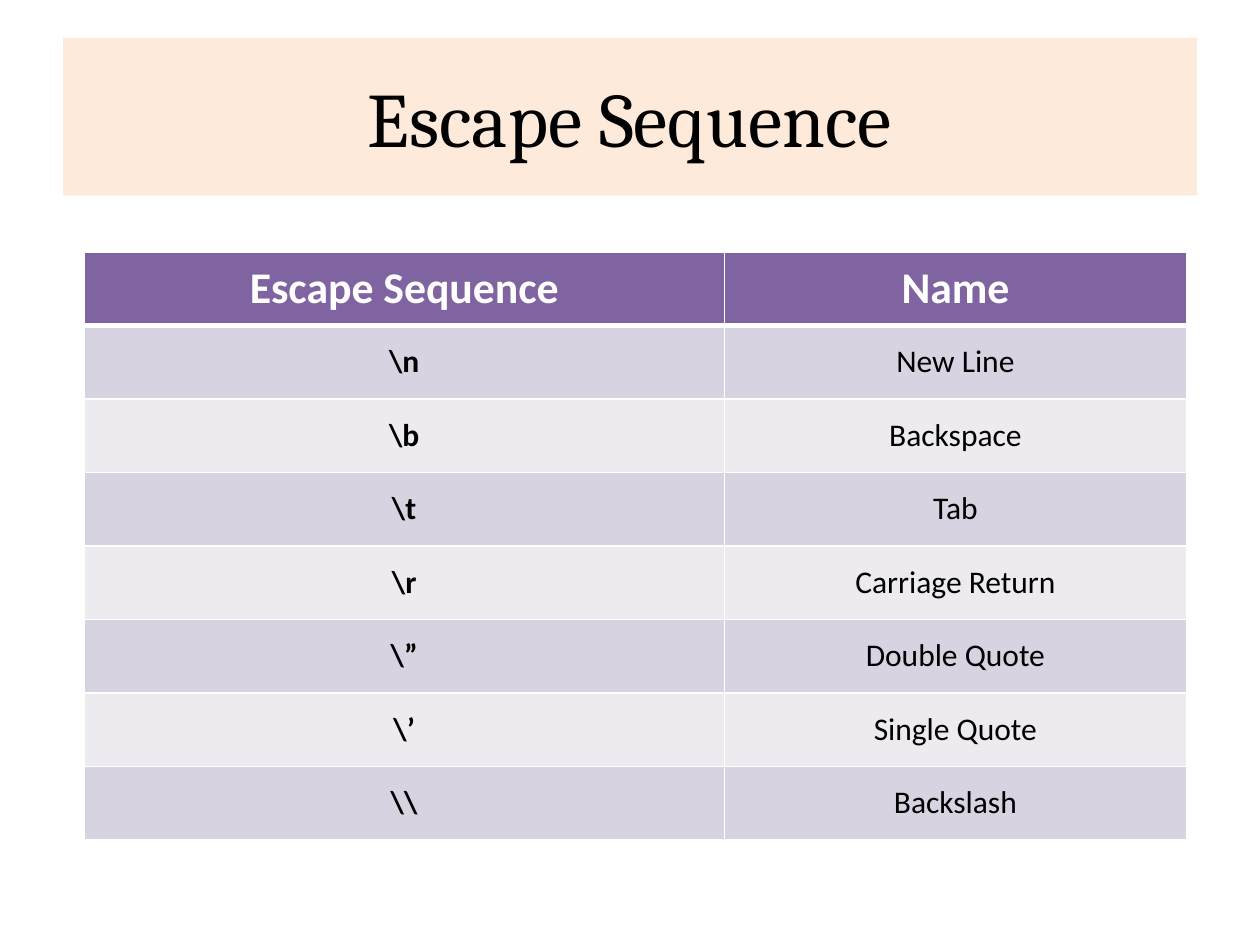
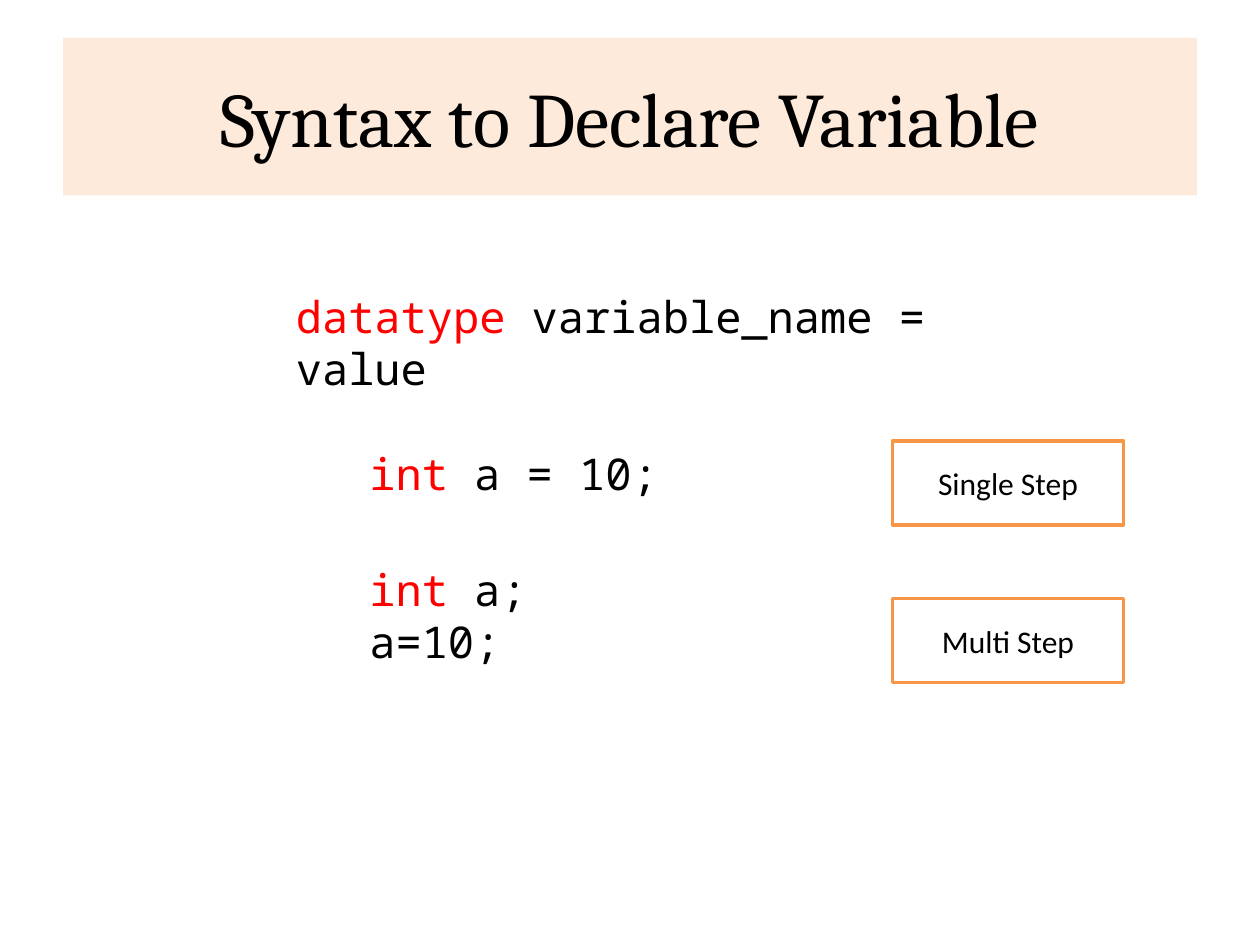
import pptx
import pptx.util
import pptx.dml.color
import pptx.enum.shapes
import pptx.enum.text
import pptx.oxml
import pptx.oxml.ns
from dataclasses import dataclass

Pt = pptx.util.Pt
CENTER = pptx.enum.text.PP_ALIGN.CENTER
MIDDLE = pptx.enum.text.MSO_ANCHOR.MIDDLE


@dataclass(frozen=True)
class Theme:
    # Colours
    band: str = "FDEADA"
    text: str = "000000"
    white: str = "FFFFFF"
    header: str = "8064A2"
    row_dark: str = "D8D3E0"
    row_light: str = "EDEAF0"
    keyword: str = "FF0000"
    accent: str = "F79646"
    # Fonts
    title_font: str = "Cambria"
    body_font: str = "Calibri"
    code_font: str = "Noto Sans Mono"
    # Type sizes
    title_size: int = 44
    large_size: int = 25
    body_size: int = 18


THEME = Theme()

ESCAPES = [
    (r"\n", "New Line"),
    (r"\b", "Backspace"),
    (r"\t", "Tab"),
    (r"\r", "Carriage Return"),
    (r"\”", "Double Quote"),
    (r"\’", "Single Quote"),
    (r"\\", "Backslash"),
]


def rgb(color):
    return pptx.dml.color.RGBColor.from_string(color)


def set_fill(target, color):
    target.fill.solid()
    target.fill.fore_color.rgb = rgb(color)


def format_run(r, font, size, color, bold=False):
    r.font.name = font
    r.font.size = Pt(size)
    r.font.bold = bold
    r.font.color.rgb = rgb(color)


def set_centred_text(target, text, font, size, color, bold=False):
    """Put one centred line into a shape or a table cell."""
    target.vertical_anchor = MIDDLE
    p = target.text_frame.paragraphs[0]
    p.text = text
    p.alignment = CENTER
    format_run(p.runs[0], font, size, color, bold)


def add_titled_slide(prs, title):
    slide = prs.slides.add_slide(prs.slide_layouts[5])
    sp = slide.shapes.title
    sp.left, sp.top, sp.width, sp.height = Pt(36), Pt(21.6), Pt(648), Pt(90)
    set_fill(sp, THEME.band)
    set_centred_text(sp, title, THEME.title_font, THEME.title_size, THEME.text)
    sp.text_frame.vertical_anchor = MIDDLE
    return slide


def set_borders(cell, top=1, bottom=1):
    """Draw white lines of the given widths around a cell."""
    tc_pr = cell._tc.get_or_add_tcPr()
    sides = [("lnL", 1), ("lnR", 1), ("lnT", top), ("lnB", bottom)]
    for i, (tag, width) in enumerate(sides):
        tc_pr.insert(i, pptx.oxml.parse_xml(
            f'<a:{tag} {pptx.oxml.ns.nsdecls("a")} w="{Pt(width)}"><a:solidFill>'
            f'<a:srgbClr val="{THEME.white}"/></a:solidFill></a:{tag}>'))


def add_banded_table(slide, left, top, col_widths, row_height, header, rows):
    lines = [header, *rows]
    table = slide.shapes.add_table(
        len(lines), len(header), Pt(left), Pt(top),
        Pt(sum(col_widths)), Pt(row_height * len(lines))).table
    for column, width in zip(table.columns, col_widths):
        column.width = Pt(width)
    for i, line in enumerate(lines):
        is_header = i == 0
        band = THEME.row_dark if i % 2 else THEME.row_light
        for j, text in enumerate(line):
            cell = table.cell(i, j)
            set_fill(cell, THEME.header if is_header else band)
            set_borders(cell, top=3 if i == 1 else 1, bottom=3 if is_header else 1)
            set_centred_text(
                cell, text, THEME.body_font,
                THEME.large_size if is_header else THEME.body_size,
                THEME.white if is_header else THEME.text,
                bold=is_header or j == 0)


def add_code(slide, left, top, width, height, lines):
    """Add code lines, each a pair of keyword and remaining text."""
    tf = slide.shapes.add_textbox(Pt(left), Pt(top), Pt(width), Pt(height)).text_frame
    tf.word_wrap = True
    tf.auto_size = pptx.enum.text.MSO_AUTO_SIZE.SHAPE_TO_FIT_TEXT
    for i, (keyword, rest) in enumerate(lines):
        p = tf.add_paragraph() if i else tf.paragraphs[0]
        for text, color in ((keyword, THEME.keyword), (rest, THEME.text)):
            if text:
                r = p.add_run()
                r.text = text
                format_run(r, THEME.code_font, THEME.large_size, color)


def add_label(slide, top, text):
    sp = slide.shapes.add_shape(
        pptx.enum.shapes.MSO_SHAPE.RECTANGLE, Pt(510), Pt(top), Pt(132), Pt(48))
    sp.shadow.inherit = False
    set_fill(sp, THEME.white)
    sp.line.color.rgb = rgb(THEME.accent)
    sp.line.width = Pt(2)
    set_centred_text(sp, text, THEME.body_font, THEME.body_size, THEME.text)
    sp.text_frame.vertical_anchor = MIDDLE


def main():
    prs = pptx.Presentation()
    prs.slide_width, prs.slide_height = Pt(720), Pt(540)

    # Escape sequences
    slide = add_titled_slide(prs, "Escape Sequence")
    add_banded_table(slide, 48, 144, (366, 264), 42, ("Escape Sequence", "Name"), ESCAPES)

    # Variable declaration
    slide = add_titled_slide(prs, "Syntax to Declare Variable")
    add_code(slide, 162, 162, 432, 37.5, [("datatype ", "variable_name = value")])
    add_code(slide, 204, 252, 255, 37.5, [("int", " a = 10;")])
    add_code(slide, 204, 318, 255, 67.5, [("int", " a;"), ("", "a=10;")])
    add_label(slide, 252, "Single Step")
    add_label(slide, 342, "Multi Step")

    prs.save("out.pptx")


if __name__ == "__main__":
    main()
